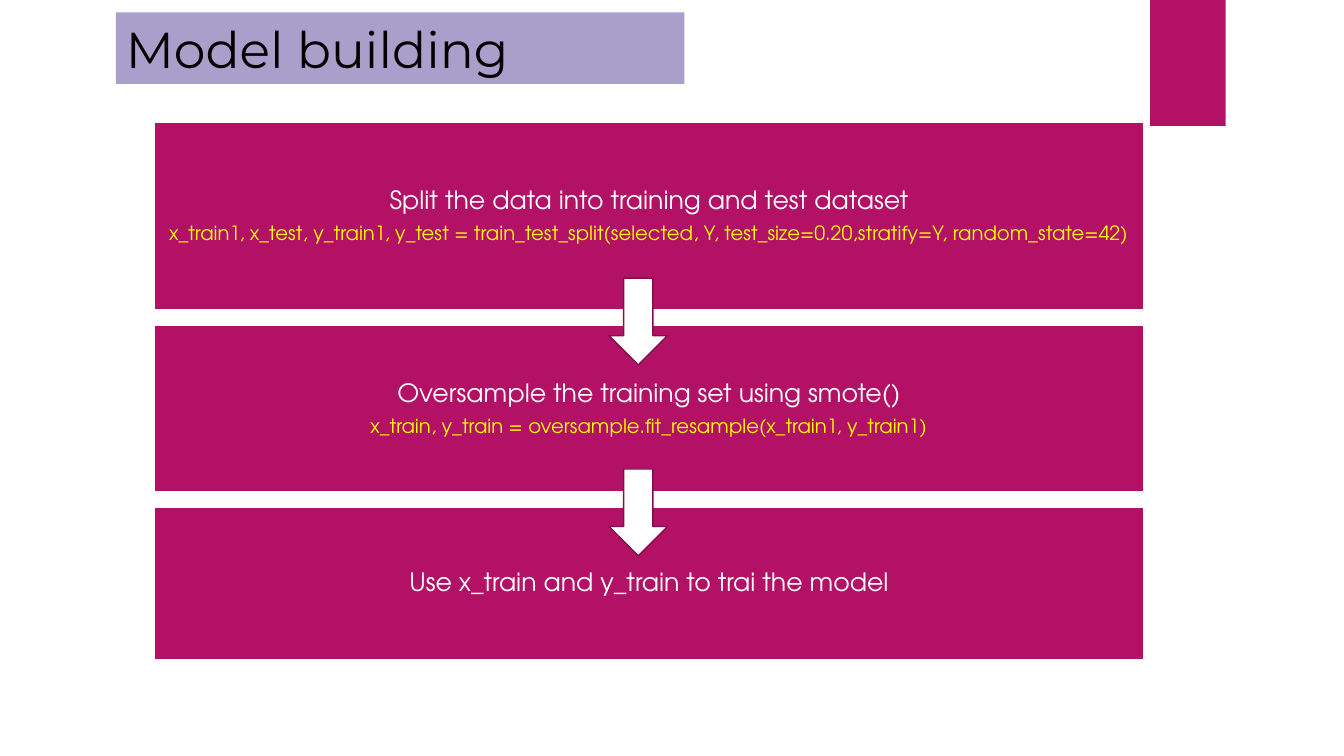
"""Build the "Model building" slide: three stacked steps joined by arrows."""
from pptx import Presentation
from pptx.dml.color import RGBColor
from pptx.enum.shapes import MSO_SHAPE as SHAPE
from pptx.enum.text import MSO_ANCHOR as ANCHOR, PP_ALIGN as ALIGN
from pptx.util import Pt

MAGENTA = RGBColor(0xB3, 0x11, 0x66)
PLUM = RGBColor(0x84, 0x0D, 0x4B)
LILAC = RGBColor(0xAA, 0x9E, 0xCB)
WHITE = RGBColor(0xFF, 0xFF, 0xFF)
YELLOW = RGBColor(0xFF, 0xFF, 0x00)
BLACK = RGBColor(0, 0, 0)

prs = Presentation()
prs.slide_width, prs.slide_height = Pt(960), Pt(540)
s = prs.slides.add_slide(prs.slide_layouts[6])


def add_block(kind, box, fill, line=None):
    sp = s.shapes.add_shape(kind, *[Pt(v) for v in box])
    sp.shadow.inherit = False
    sp.fill.solid()
    sp.fill.fore_color.rgb = fill
    if line is None:
        sp.line.fill.background()
    else:
        sp.line.color.rgb = line
        sp.line.width = Pt(1)
    return sp


def add_text(p, text, size, font, color):
    r = p.add_run()
    r.text = text
    r.font.size, r.font.name = Pt(size), font
    r.font.color.rgb = color


add_block(SHAPE.RECTANGLE, (821.5, 0, 54, 90), MAGENTA)

title = add_block(SHAPE.RECTANGLE, (82.8, 8.9, 406, 51), LILAC)
p = title.text_frame.paragraphs[0]
p.alignment = ALIGN.LEFT
add_text(p, "Model building", 36, "Montserrat", BLACK)

STEPS = [
    (87.4, 133.9, [
        "Split the data into training and test dataset",
        "x_train1, x_test, y_train1, y_test = train_test_split(selected, Y, "
        "test_size=0.20,stratify=Y, random_state=42)"]),
    (232.6, 118.8, [
        "Oversample the training set using smote()",
        "x_train, y_train = oversample.fit_resample(x_train1, y_train1)"]),
    (362.2, 108.7, ["Use x_train and y_train to trai the model"]),
]
LINE_STYLES = [(18, WHITE), (14, YELLOW)]
FRAME = {"word_wrap": True, "vertical_anchor": ANCHOR.MIDDLE,
         "margin_left": Pt(3.6), "margin_right": Pt(3.6),
         "margin_top": Pt(3.6), "margin_bottom": Pt(3.6)}

for top, height, lines in STEPS:
    sp = add_block(SHAPE.RECTANGLE, (110.4, top, 706.3, height), MAGENTA, WHITE)
    tf = sp.text_frame
    for name, value in FRAME.items():
        setattr(tf, name, value)
    for i, (text, (size, color)) in enumerate(zip(lines, LINE_STYLES)):
        p = tf.add_paragraph() if i else tf.paragraphs[0]
        para = {"alignment": ALIGN.CENTER, "line_spacing": 0.9,
                "space_after": Pt(0.35 * size)}
        for name, value in para.items():
            setattr(p, name, value)
        add_text(p, text, size, "TeX Gyre Adventor", color)

for top in (198.7, 335):
    add_block(SHAPE.DOWN_ARROW, (435, top, 41.8, 62), WHITE, PLUM)

prs.save("out.pptx")
